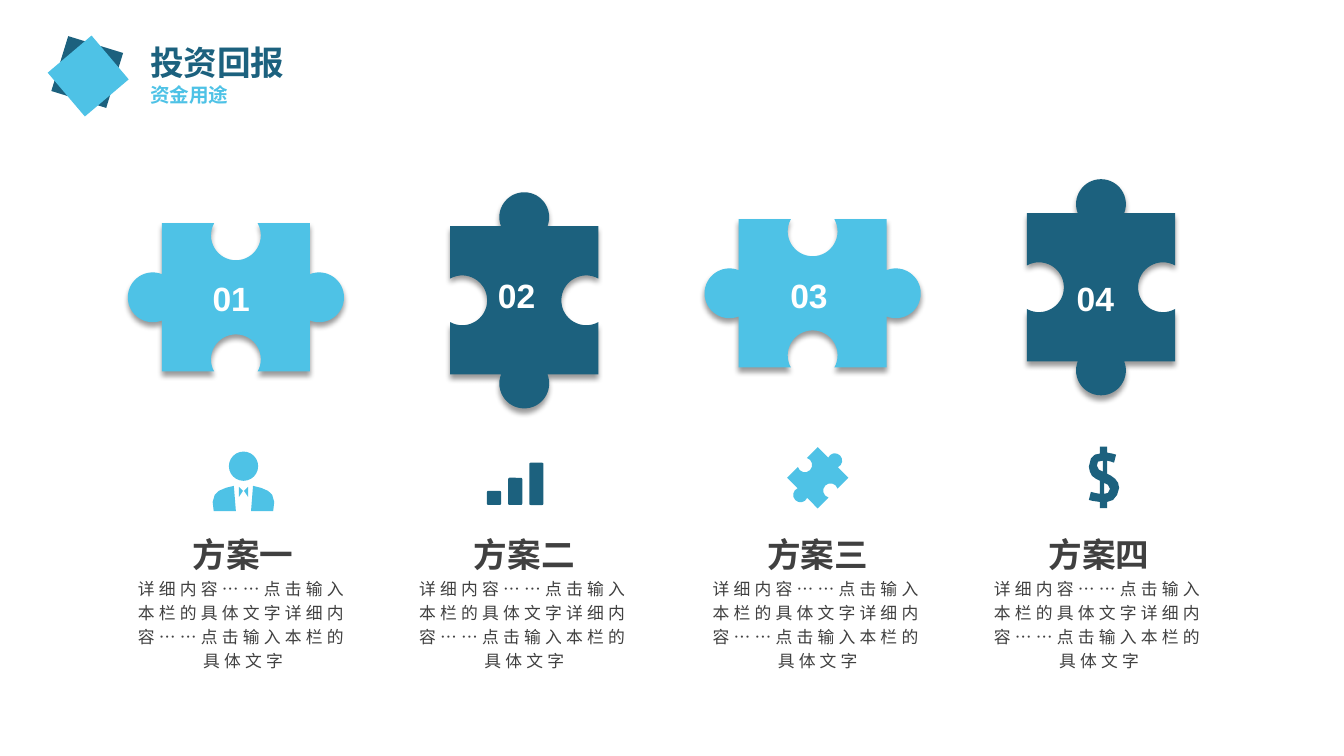
from itertools import chain
from math import asin, cos, pi, radians, sin, tan

from lxml.etree import SubElement
from pptx import Presentation
from pptx.dml.color import RGBColor
from pptx.enum.shapes import MSO_SHAPE as Preset
from pptx.enum.text import MSO_AUTO_SIZE as AutoSize, PP_ALIGN as Align
from pptx.oxml.ns import qn
from pptx.util import Pt

PX = 9144
SKY = RGBColor(0x4E, 0xC2, 0xE6)
NAVY = RGBColor(0x1C, 0x61, 0x7E)
GREY = RGBColor(0x40, 0x40, 0x40)
WHITE = RGBColor(0xFF, 0xFF, 0xFF)

DETAIL = "详细内容……点击输入本栏的具体文字" * 2
HEADING = {"size": Pt(24), "bold": True, "name": "Arial"}
SUBTITLE = {"size": Pt(14), "bold": True, "name": "Arial"}
BODY = {"size": Pt(12), "bold": False, "name": "Arial"}

DOLLAR = [
    [(11, 55), (4, 54), (0, 53), (2, 45), (6, 46), (11, 47), (11, 34), (7, 32),
     (3, 29), (1, 25), (0, 20), (2, 12), (6, 8), (11, 7), (11, 0), (18, 0),
     (18, 6), (23, 7), (27, 8), (25, 16), (22, 15), (18, 14), (18, 27), (22, 29),
     (26, 32), (29, 36), (30, 41), (28, 48), (24, 53), (18, 55), (18, 61), (11, 61)],
    [(8, 19), (10, 23), (14, 25), (14, 14), (9, 15)],
    [(21, 42), (19, 38), (15, 36), (15, 47), (19, 46)],
]
SLEEVE = [(6, 39), (2, 43), (0, 50), (1, 59), (23, 59), (21, 34), (13, 36)]
BOW = [(26, 45), (30, 39), (26, 35)]


def paint(shape, colour):
    shape.shadow.inherit = False
    shape.fill.solid()
    shape.fill.fore_color.rgb = colour
    shape.line.fill.background()
    return shape


def add_preset(page, kind, box, colour):
    return paint(page.shapes.add_shape(kind, *(v * PX for v in box)), colour)


def add_outline(page, left, top, contours, colour):
    placed = [[((left + x) * PX, (top + y) * PX) for x, y in points] for points in contours]
    builder = page.shapes.build_freeform(*placed[0][0])
    builder.add_line_segments(placed[0][1:])
    for points in placed[1:]:
        builder.move_to(*points[0])
        builder.add_line_segments(points[1:])
    return paint(builder.convert_to_shape(), colour)


def bend_lines(shape, lengths):
    lines = iter(list(shape._element.iter(qn("a:lnTo"))))
    for length in lengths:
        group = [next(lines) for _ in range(length)]
        if length == 3:
            group[0].tag = qn("a:cubicBezTo")
            for line in group[1:]:
                group[0].append(line[0])
                line.getparent().remove(line)


def add_text(page, box, lines, wrap=True, align=Align.LEFT, leading=1.0, spacing=0):
    frame = page.shapes.add_textbox(*(v * PX for v in box)).text_frame
    frame.word_wrap = wrap
    frame.auto_size = AutoSize.SHAPE_TO_FIT_TEXT
    for index, (text, style, colour) in enumerate(lines):
        para = frame.add_paragraph() if index else frame.paragraphs[0]
        para.alignment = align
        para.line_spacing = leading
        span = para.add_run()
        span.text = text
        for key, value in style.items():
            setattr(span.font, key, value)
        span.font.color.rgb = colour
        if index and spacing:
            span.font._element.set("spc", str(spacing))


def add_puzzle(page, centre_x, centre_y, side, angle, colour):
    unit = side / 147
    radius = 24.7 * unit
    segments = []
    for quarter in range(4):
        turn = radians(angle + 90 * quarter)
        out_x, out_y = cos(turn), sin(turn)
        sign, depth = (-1, 12 * unit) if quarter % 2 else (1, 9 * unit)
        sweep = pi / 2 + asin(depth / radius)
        pull = 4 / 3 * tan(sweep / 4)
        edge = [[(-side / 2, side / 2)]]
        arc = []
        for t in (pi / 2 + sweep, pi / 2, pi / 2 - sweep):
            for k in (-pull, 0, pull):
                along = radius * (cos(t) + k * sin(t))
                rise = radius * (sin(t) - k * cos(t))
                arc.append((along, side / 2 + sign * (depth + rise)))
        edge += [arc[1:2], arc[2:5], arc[5:8]]
        segments += [[(out_x * out - out_y * along, out_y * out + out_x * along)
                      for along, out in segment] for segment in edge]
    points = list(chain.from_iterable(segments))
    shape = add_outline(page, centre_x, centre_y, [points], colour)
    bend_lines(shape, [len(segment) for segment in segments[1:]])
    return shape


def add_shadow(shape):
    effects = shape._element.spPr.find(qn("a:effectLst"))
    shadow = SubElement(effects, qn("a:outerShdw"), blurRad=str(Pt(4)), dist=str(Pt(3)),
                        dir="5400000", algn="t", rotWithShape="0")
    black = SubElement(shadow, qn("a:srgbClr"), val="000000")
    SubElement(black, qn("a:alpha"), val="40000")


def person_icon(page, left, top, colour):
    add_preset(page, Preset.OVAL, (left + 16, top, 29, 29), colour)
    for half in (SLEEVE, BOW):
        mirrored = [(61 - x, y) for x, y in half]
        for points in (half, mirrored):
            add_outline(page, left, top, [points], colour)


def bars_icon(page, left, top, colour):
    for index, height in enumerate((14, 27, 42)):
        box = (left + 21 * index, top + 42 - height, 14, height)
        bar = add_preset(page, Preset.ROUNDED_RECTANGLE, box, colour)
        bar.adjustments[0] = 0.1


def puzzle_icon(page, left, top, colour):
    add_puzzle(page, left + 30, top + 30, 43, -45, colour)


def dollar_icon(page, left, top, colour):
    add_outline(page, left, top, DOLLAR, colour)


def add_backdrop(page, width, height):
    veil = add_preset(page, Preset.RECTANGLE, (0, 0, width, height), WHITE)
    tint = veil._element.spPr.find(qn("a:solidFill"))[0]
    SubElement(tint, qn("a:alpha"), val="60000")


def add_header(page, left, top):
    for x, y, angle, colour in ((0, 0, 17.1, NAVY), (1, 4, 49.7, SKY)):
        square = add_preset(page, Preset.RECTANGLE, (left + x, top + y, 57, 57), colour)
        square.rotation = angle
    add_text(page, (left + 81, top - 6, 155, 50), [("投资回报", HEADING, NAVY)], wrap=False)
    add_text(page, (left + 81, top + 34, 99, 34), [("资金用途", SUBTITLE, SKY)], wrap=False)


def add_plan(page, centre, angle, colour, number, number_box, icon, icon_at, title, text_left):
    add_shadow(add_puzzle(page, *centre, 147, angle, colour))
    add_text(page, number_box, [(number, HEADING, WHITE)])
    icon(page, *icon_at, colour)
    add_text(page, (text_left, 517, 244, 156),
             [(title, HEADING, GREY), (DETAIL, BODY, GREY)],
             align=Align.CENTER, leading=1.2, spacing=300)


def main():
    deck = Presentation()
    width, height = 1333, 750
    deck.slide_width, deck.slide_height = width * PX, height * PX
    page = deck.slides.add_slide(deck.slide_layouts[6])
    add_backdrop(page, width, height)
    add_header(page, 58, 43)
    plans = [
        (295, (201, 271, 109, 50), person_icon, (211, 448), "方案一", 119),
        (298, (484, 268, 75, 50), bars_icon, (483, 459), "方案二", 398),
        (291, (774, 268, 72, 50), puzzle_icon, (781, 444), "方案三", 689),
        (285, (1058, 271, 69, 50), dollar_icon, (1080, 443), "方案四", 968),
    ]
    for index, (centre_y, number_box, *rest) in enumerate(plans):
        angle, colour = (90, NAVY) if index % 2 else (0, SKY)
        add_plan(page, (234 + 286 * index, centre_y), angle, colour,
                 f"{index + 1:02}", number_box, *rest)
    deck.save("out.pptx")


if __name__ == "__main__":
    main()
